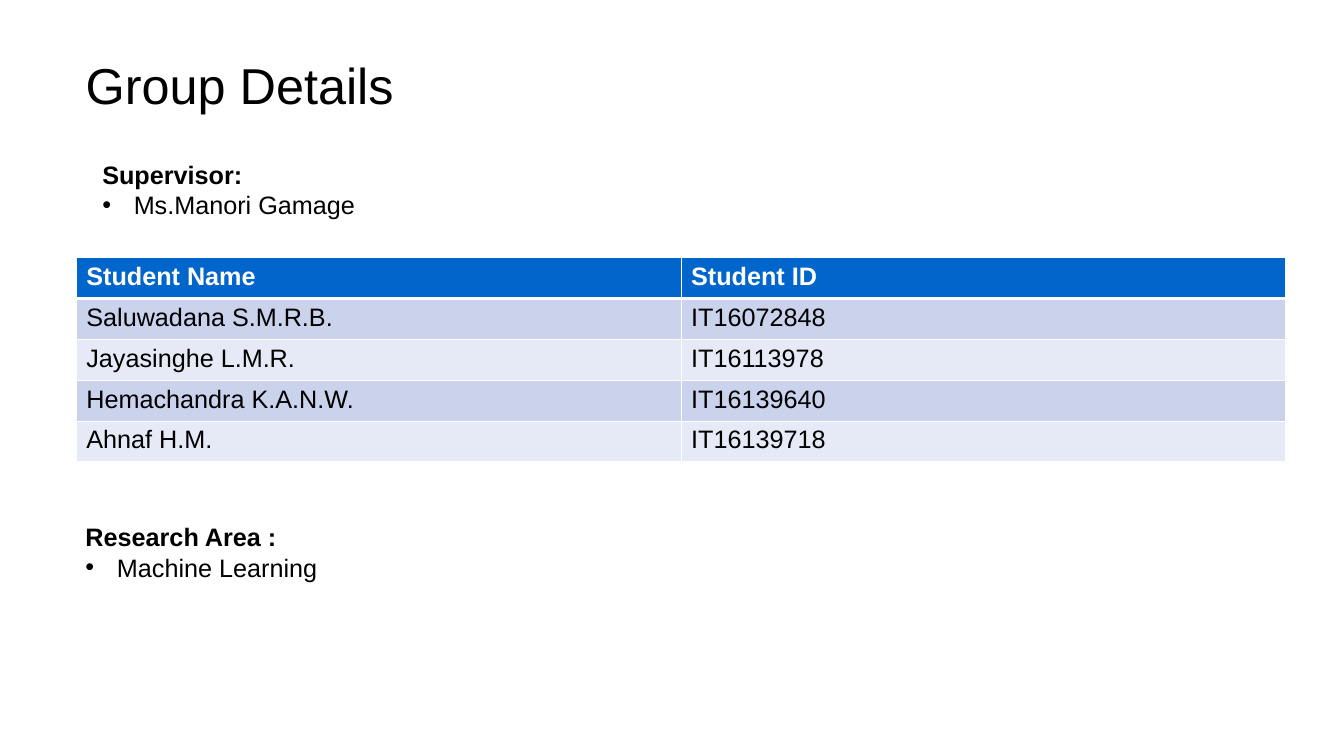
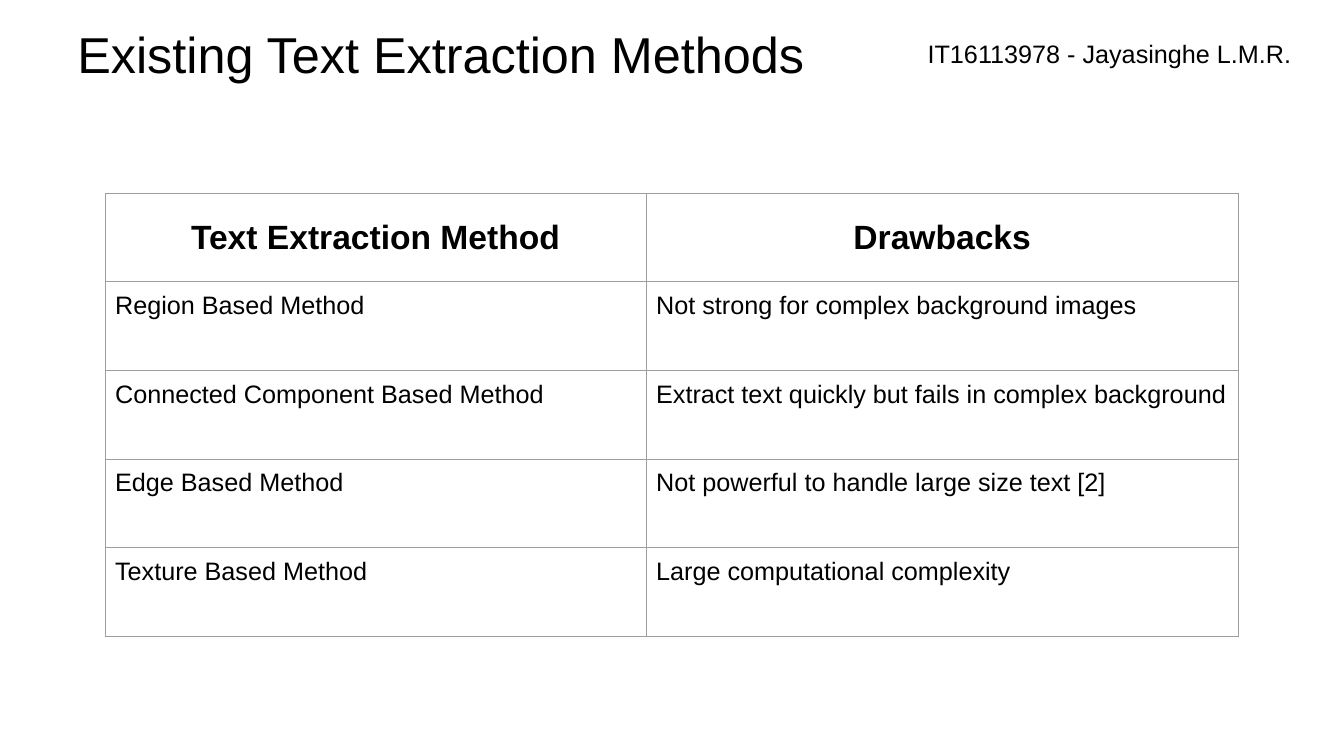
from lxml import etree
from pptx import Presentation
from pptx.dml.color import RGBColor
from pptx.enum.text import MSO_ANCHOR, MSO_AUTO_SIZE, PP_ALIGN
from pptx.oxml.ns import qn
from pptx.util import Pt

BLACK = RGBColor(0x00, 0x00, 0x00)
WHITE = RGBColor(0xFF, 0xFF, 0xFF)
BLUE = RGBColor(0x00, 0x66, 0xCC)
BANDS = RGBColor(0xCA, 0xD2, 0xEC), RGBColor(0xE6, 0xEA, 0xF6)
GREY = RGBColor(0x9E, 0x9E, 0x9E)
LEFT, CENTER = PP_ALIGN.LEFT, PP_ALIGN.CENTER
TOP, MIDDLE = MSO_ANCHOR.TOP, MSO_ANCHOR.MIDDLE
FIXED = MSO_AUTO_SIZE.NONE
FACE = "Arial"
TITLE_ONLY = 5

STUDENTS = [
    ("Student Name", "Student ID"),
    ("Saluwadana S.M.R.B.", "IT16072848"),
    ("Jayasinghe L.M.R.", "IT16113978"),
    ("Hemachandra K.A.N.W.", "IT16139640"),
    ("Ahnaf H.M.", "IT16139718"),
]
METHODS = [
    ("Text Extraction Method", "Drawbacks"),
    ("Region Based Method", "Not strong for complex background images"),
    ("Connected Component Based Method",
     "Extract text quickly but fails in complex background"),
    ("Edge Based Method", "Not powerful to handle large size text [2]"),
    ("Texture Based Method", "Large computational complexity"),
]


class Deck:
    def __init__(self):
        self.prs = Presentation()
        self.prs.slide_width, self.prs.slide_height = Pt(960), Pt(540)
        self.slide = None

    def style(self, para, size=18, color=BLACK, bold=False, align=LEFT):
        para.alignment = align
        font = para.font
        font.name, font.size, font.bold = FACE, Pt(size), bold
        font.color.rgb = color

    def title(self, text, x, y):
        """Start a new slide with its title."""
        layout = self.prs.slide_layouts[TITLE_ONLY]
        self.slide = self.prs.slides.add_slide(layout)
        shape = self.slide.shapes.title
        shape.left, shape.top = Pt(x), Pt(y)
        shape.width, shape.height = Pt(864), Pt(46)
        frame = shape.text_frame
        frame.text = text
        frame.auto_size, frame.vertical_anchor = FIXED, MIDDLE
        self.style(frame.paragraphs[0], 36)

    def text(self, text, x, y, width, height, bold=False):
        box = self.slide.shapes.add_textbox(
            Pt(x), Pt(y), Pt(width), Pt(height))
        frame = box.text_frame
        frame.word_wrap = True
        frame.text = text
        self.style(frame.paragraphs[0], bold=bold)
        return frame

    def bullet(self, para):
        props = para._p.get_or_add_pPr()
        props.set("marL", str(Pt(22.5)))
        props.set("indent", str(-Pt(22.5)))
        tint = etree.SubElement(props, qn("a:buClr"))
        etree.SubElement(tint, qn("a:srgbClr"), val=str(BLACK))
        etree.SubElement(props, qn("a:buFont"), typeface=FACE)
        etree.SubElement(props, qn("a:buChar"), char="•")

    def topic(self, head, item, x, y):
        """Add a bold heading with one bulleted item below."""
        para = self.text(head, x, y, 808, 51, bold=True).add_paragraph()
        para.text = item
        self.bullet(para)
        self.style(para)

    def border(self, cell, color, **widths):
        """Draw the sides L, R, T and B in the given widths."""
        props = cell._tc.get_or_add_tcPr()
        for spot, side in enumerate("LRTB"):
            line = etree.Element(qn("a:ln" + side), w=str(Pt(widths[side])))
            fill = etree.SubElement(line, qn("a:solidFill"))
            etree.SubElement(fill, qn("a:srgbClr"), val=str(color))
            props.insert(spot, line)

    def table(self, rows, x, y, widths, height, edge, line, rule, pad,
              head, fills=None):
        """Add a table; rule is the line under the header, head its style,
        fills the header colour and then the band colours."""
        grid = self.slide.shapes.add_table(
            len(rows), len(widths), Pt(x), Pt(y),
            Pt(sum(widths)), Pt(height * len(rows))).table
        grid.horz_banding = False
        for col, width in zip(grid.columns, widths):
            col.width = Pt(width)
        for r, row in enumerate(rows):
            grid.rows[r].height = Pt(height)
            for c, text in enumerate(row):
                cell = grid.cell(r, c)
                cell.text = text
                cell.margin_top = cell.margin_bottom = Pt(pad)
                cell.vertical_anchor = TOP if r or not head.get("align") else MIDDLE
                if fills:
                    cell.fill.solid()
                    cell.fill.fore_color.rgb = (
                        fills[1 + (r - 1) % 2] if r else fills[0])
                else:
                    cell.fill.background()
                self.border(cell, edge, L=line, R=line,
                            T=rule if r == 1 else line,
                            B=rule if r == 0 else line)
                self.style(cell.text_frame.paragraphs[0],
                           **({} if r else head))


def main():
    deck = Deck()

    deck.title("Group Details", 54, 37.5)
    deck.table(STUDENTS, 54.5, 184, (432, 432), 29.2, WHITE, 1, 3, 3.6,
               dict(color=WHITE, bold=True), (BLUE, *BANDS))
    deck.topic("Research Area :", "Machine Learning", 54, 369)
    deck.topic("Supervisor:", "Ms.Manori Gamage", 66, 110)

    deck.title("Existing Text Extraction Methods", 48, 15)
    deck.table(METHODS, 75, 138, (386.5, 423), 63.3, GREY, 0.75, 0.75, 7.2,
               dict(size=24, bold=True, align=CENTER))
    deck.text("IT16113978 - Jayasinghe L.M.R.", 655.5, 24, 281, 29)

    deck.prs.save("out.pptx")


if __name__ == "__main__":
    main()
